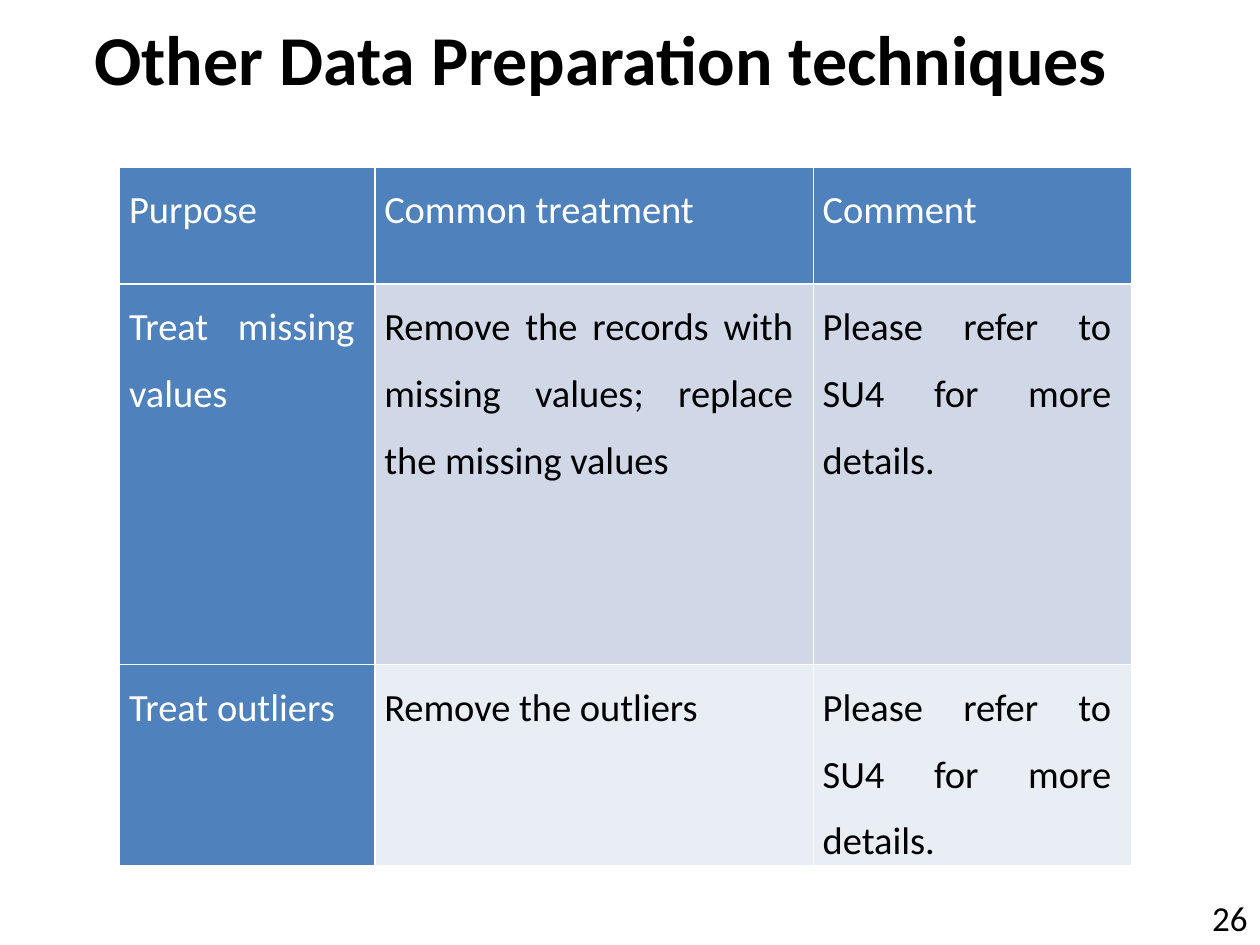
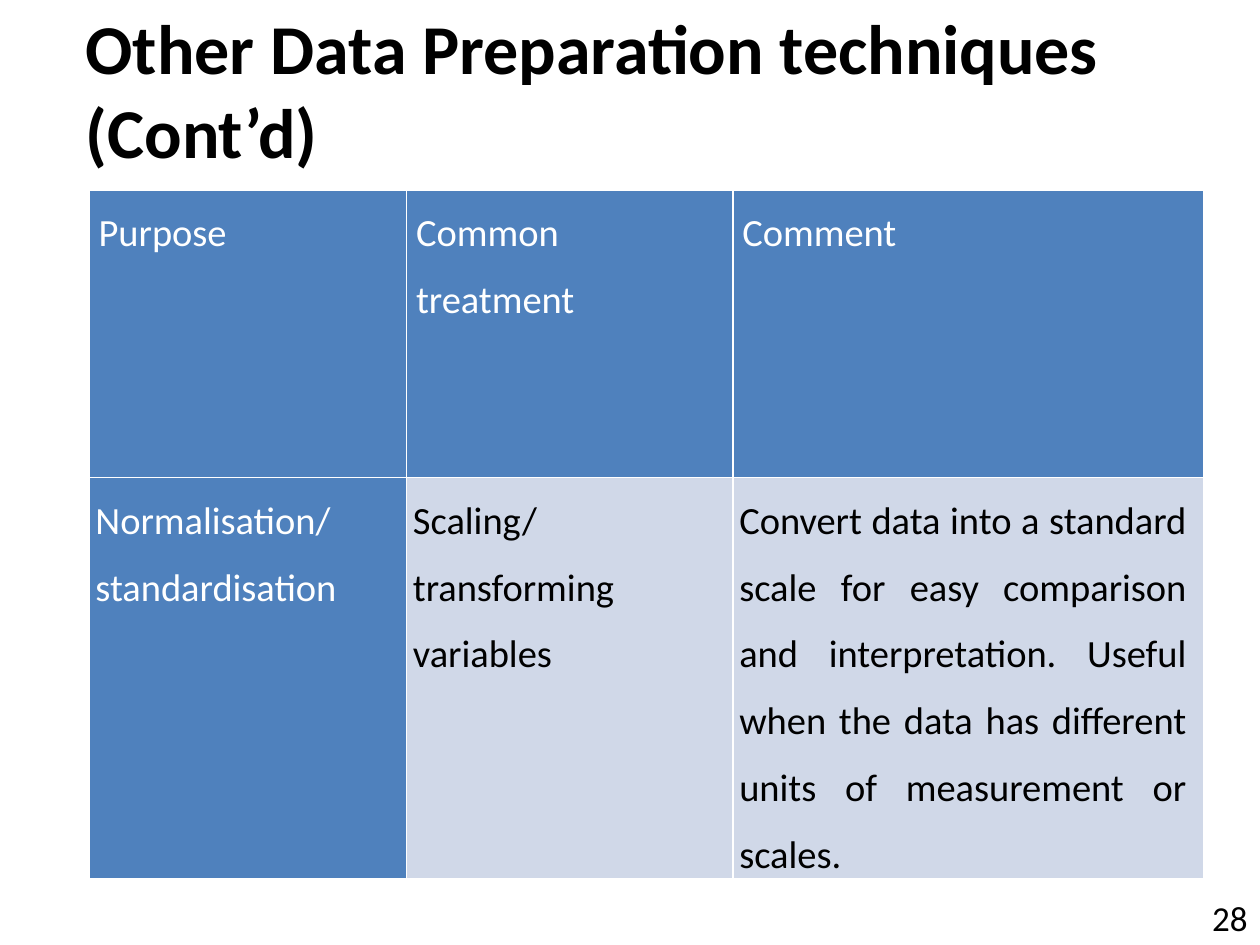
from dataclasses import dataclass

from lxml import etree
from pptx import Presentation, util as u
from pptx.dml.color import RGBColor
from pptx.enum import text
from pptx.oxml.ns import qn

COLS, ROWS = 100, 75


@dataclass(frozen=True)
class Theme:
    face: str = "Calibri"
    head: str = "4F81BD"
    bands: tuple[str, ...] = ("D0D8E8", "E9EDF4")
    light: str = "FFFFFF"
    dark: str = "000000"
    title: int = 40
    cell: int = 22
    page: int = 20
    lead: float = 1.43
    gap: float = 10.1
    inset: float = 0.85
    rule: int = 1


@dataclass(frozen=True)
class Box:
    left: float
    top: float
    width: float
    height: float


@dataclass(frozen=True)
class Grid:
    left: float
    top: float
    cols: tuple[float, ...]
    rows: tuple[float, ...]
    pads: tuple[float, ...]
    cells: tuple[tuple[str, ...], ...]


@dataclass(frozen=True)
class Page:
    title: str
    place: Box
    grid: Grid
    number: str


THEME = Theme()
FOOT = Box(86.3, 69.6, 13.7, 5.4)
HEADS = ("Purpose", "Common treatment", "Comment")
REFER = "Please refer to SU4 for more details."
TITLE = "Other Data Preparation techniques"
PAGES = (
    Page(
        TITLE,
        Box(6.5, 0, 88.5, 9.2),
        Grid(
            9.5, 13.24, (20.25, 34.8, 25.25), (9.3, 30.2, 15.9), (0.75, 0.75, 0.75),
            (
                HEADS,
                (
                    "Treat missing values",
                    "Remove the records with missing values; replace the missing values",
                    REFER,
                ),
                ("Treat outliers", "Remove the outliers", REFER),
            ),
        ),
        "26",
    ),
    Page(
        f"{TITLE} (Cont’d)",
        Box(5.8, 2.45, 88.5, 9.2),
        Grid(
            7.08, 15.1, (25.2, 25.9, 37.35), (22.8, 31.7), (0.75, 0.5),
            (
                HEADS,
                (
                    "Normalisation/standardisation",
                    "Scaling/transforming variables",
                    "Convert data into a standard scale for easy comparison and "
                    "interpretation. Useful when the data has different units of "
                    "measurement or scales.",
                ),
            ),
        ),
        "28",
    ),
)


def span(cells: float) -> int:
    return u.Inches(cells * 10 / COLS)


def apply(item, values: dict) -> None:
    for name, value in values.items():
        setattr(item, name, value)


def place(shape, box: Box) -> None:
    apply(shape, {
        "left": span(box.left),
        "top": span(box.top),
        "width": span(box.width),
        "height": span(box.height),
    })


def write(frame, words: str, size: int, color: str, bold: bool, form: dict) -> None:
    frame.text = words
    para = frame.paragraphs[0]
    apply(para, form)
    font = para.runs[0].font
    apply(font, {"name": THEME.face, "size": u.Pt(size), "bold": bold})
    font.color.rgb = RGBColor.from_string(color)


def edge(cell) -> None:
    props = cell._tc.get_or_add_tcPr()
    for spot, side in enumerate("LRTB"):
        line = etree.Element(qn(f"a:ln{side}"), w=str(u.Pt(THEME.rule)))
        fill = etree.SubElement(line, qn("a:solidFill"))
        etree.SubElement(fill, qn("a:srgbClr"), val=THEME.light)
        props.insert(spot, line)


def style(cell, row: int, col: int, words: str, pad: float) -> None:
    key = row == 0 or col == 0
    tint = THEME.head if key else THEME.bands[(row - 1) % len(THEME.bands)]
    apply(cell, {
        "margin_left": span(pad),
        "margin_right": span(pad + THEME.inset),
        "margin_top": 0,
        "margin_bottom": 0,
    })
    cell.fill.solid()
    cell.fill.fore_color.rgb = RGBColor.from_string(tint)
    edge(cell)
    write(cell.text_frame, words, THEME.cell, THEME.light if key else THEME.dark, False, {
        "alignment": text.PP_ALIGN.JUSTIFY,
        "line_spacing": THEME.lead,
        "space_before": u.Pt(THEME.gap),
    })


def draw_grid(slide, grid: Grid) -> None:
    table = slide.shapes.add_table(
        len(grid.rows), len(grid.cols), span(grid.left), span(grid.top),
        span(sum(grid.cols)), span(sum(grid.rows)),
    ).table
    apply(table, {"first_row": False, "horz_banding": False})
    for col, width in zip(table.columns, grid.cols):
        col.width = span(width)
    for row, height in zip(table.rows, grid.rows):
        row.height = span(height)
    for r, (line, pad) in enumerate(zip(grid.cells, grid.pads)):
        for c, words in enumerate(line):
            style(table.cell(r, c), r, c, words, pad)


def draw_page(deck, page: Page) -> None:
    slide = deck.slides.add_slide(deck.slide_layouts[5])
    title = slide.shapes.title
    place(title, page.place)
    apply(title.text_frame, {
        "auto_size": text.MSO_AUTO_SIZE.NONE,
        "vertical_anchor": text.MSO_ANCHOR.MIDDLE,
        "word_wrap": True,
    })
    write(title.text_frame, page.title, THEME.title, THEME.dark, True,
          {"alignment": text.PP_ALIGN.LEFT})
    draw_grid(slide, page.grid)
    foot = slide.shapes.add_textbox(0, 0, 0, 0)
    place(foot, FOOT)
    apply(foot.text_frame, {"vertical_anchor": text.MSO_ANCHOR.BOTTOM, "word_wrap": True})
    write(foot.text_frame, page.number, THEME.page, THEME.dark, False,
          {"alignment": text.PP_ALIGN.RIGHT})


def main() -> None:
    deck = Presentation()
    apply(deck, {"slide_width": span(COLS), "slide_height": span(ROWS)})
    for page in PAGES:
        draw_page(deck, page)
    deck.save("out.pptx")


if __name__ == "__main__":
    main()
